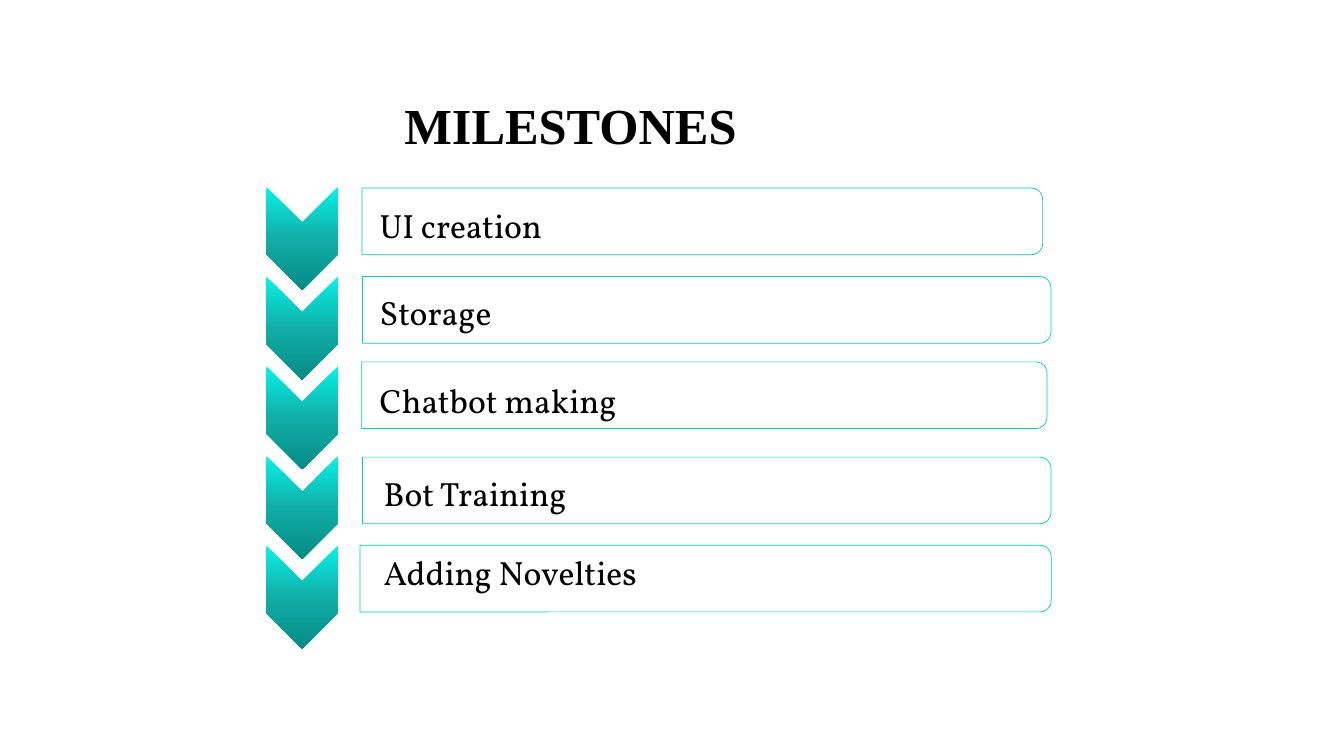
from lxml import etree
from pptx import Presentation
from pptx.dml.color import RGBColor
from pptx.enum.shapes import MSO_SHAPE
from pptx.enum.text import PP_ALIGN
from pptx.oxml.ns import qn
from pptx.util import Cm, Pt
from copy import deepcopy

BLACK = RGBColor(0x00, 0x00, 0x00)
WHITE = RGBColor(0xFF, 0xFF, 0xFF)
TEAL_LINE = RGBColor(0x08, 0xCA, 0xC1)
CHEVRON_STOPS = [
    (0, RGBColor(0x06, 0xF2, 0xE7)),
    (0.5, RGBColor(0x11, 0xAE, 0xA7)),
    (1, RGBColor(0x06, 0x8B, 0x85)),
]

# Lengths in cm: bar centre x, bar centre y, bar length,
# then label text, left, top, width
MILESTONES = [
    (17.70, 5.58, 17.15, "UI creation", 9.32, 5.05, 16.79),
    (17.81, 7.81, 17.35, "Storage", 9.32, 7.24, 16.79),
    (17.75, 9.96, 17.27, "Chatbot making", 9.32, 9.45, 16.79),
    (17.81, 12.36, 17.35, "Bot Training", 9.42, 11.79, 16.99),
    (17.78, 14.58, 17.42, "Adding Novelties", 9.42, 13.79, 16.28),
]
BAR_H = 1.68
CHEVRON_TOP, CHEVRON_STEP = 5.11, 2.26


def add_turned(kind, left, top, width, height):
    sp = s.shapes.add_shape(kind, Cm(left), Cm(top), Cm(width), Cm(height))
    sp.rotation = 90
    sp.shadow.inherit = False
    return sp


def add_text(text, left, top, width, height, size, font):
    tf = s.shapes.add_textbox(Cm(left), Cm(top), Cm(width), Cm(height)).text_frame
    tf.word_wrap = True
    p = tf.paragraphs[0]
    r = p.add_run()
    r.text = text
    r.font.size = Pt(size)
    r.font.name = font
    r.font.color.rgb = BLACK
    return p, r


prs = Presentation()
prs.slide_width, prs.slide_height = Cm(33.87), Cm(19.05)
s = prs.slides.add_slide(prs.slide_layouts[6])

# Title
p, r = add_text("MILESTONES", 2.95, 2.41, 22.86, 3.18, 36, "Times New Roman")
p.alignment = PP_ALIGN.CENTER
p.line_spacing = 0.9
r.font.bold = True

# Chevrons and bars, turned a quarter so they point down and round off right
for i, (cx, cy, length, *label) in enumerate(MILESTONES):
    sp = add_turned(MSO_SHAPE.CHEVRON, 6.32, CHEVRON_TOP + i * CHEVRON_STEP, 2.59, 1.8)
    sp.line.fill.background()
    sp.fill.gradient()
    grad = sp.element.spPr.find(qn("a:gradFill"))
    grad.set("rotWithShape", "0")
    grad.find(qn("a:lin")).set("ang", "5400000")
    stop_list = grad.find(qn("a:gsLst"))
    stop_list.append(deepcopy(stop_list[0]))
    for stop, (position, color) in zip(sp.fill.gradient_stops, CHEVRON_STOPS):
        stop.position = position
        stop.color.rgb = color

    sp = add_turned(MSO_SHAPE.ROUND_2_SAME_RECTANGLE,
                    cx - BAR_H / 2, cy - length / 2, BAR_H, length)
    sp.fill.solid()
    sp.fill.fore_color.rgb = WHITE
    color = sp.element.spPr.find(qn("a:solidFill"))[0]
    etree.SubElement(color, qn("a:alpha")).set("val", "90000")
    sp.line.color.rgb = TEAL_LINE
    sp.line.width = Pt(0.5)

# Labels
for *bar, text, left, top, width in MILESTONES:
    add_text(text, left, top, width, 1.27, 24, "Vollkorn")

prs.save("out.pptx")
